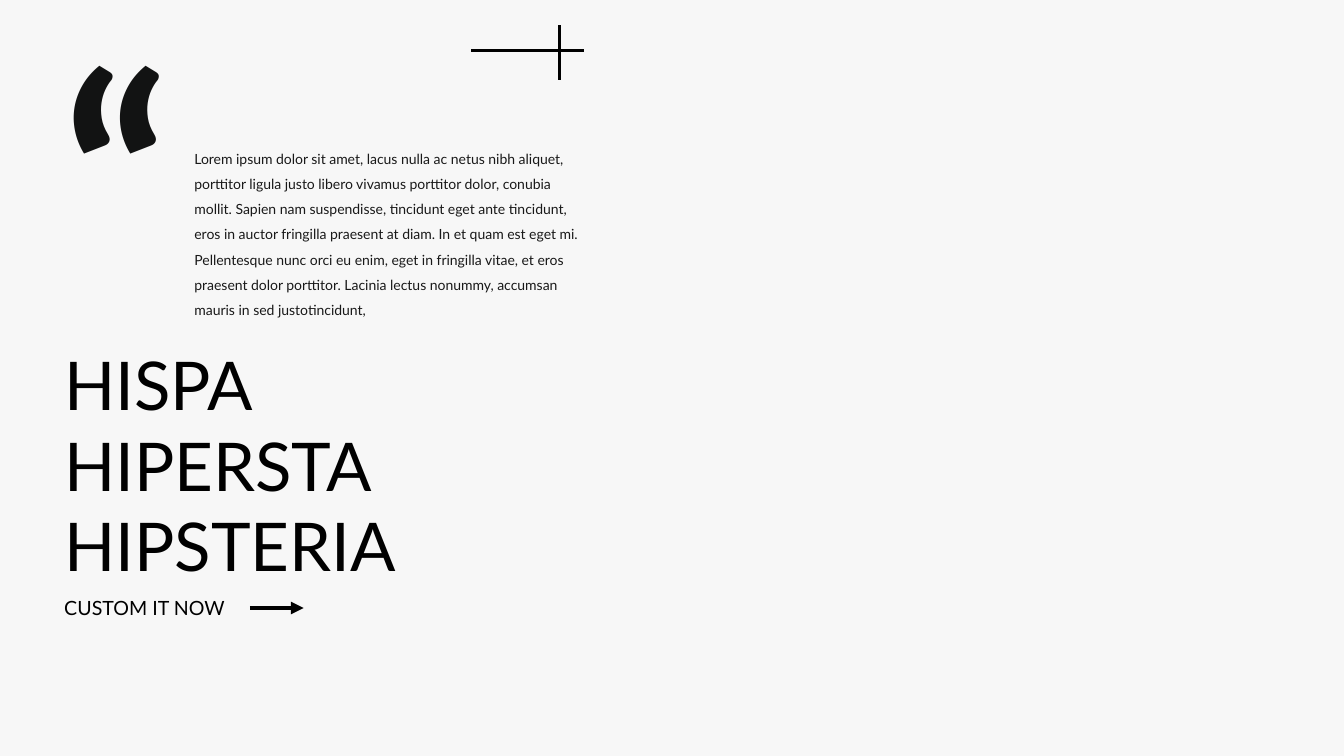
import pptx
import pptx.util
import pptx.dml.color
import pptx.enum.shapes
import pptx.enum.text
import lxml.etree

Cm = pptx.util.Cm
Pt = pptx.util.Pt
RGBColor = pptx.dml.color.RGBColor

PAPER = RGBColor(0xF7, 0xF7, 0xF7)
BLACK = RGBColor(0x00, 0x00, 0x00)
INK = RGBColor(0x19, 0x19, 0x19)
MARK = RGBColor(0x12, 0x13, 0x13)
FONT = "Lato"

deck = pptx.Presentation()
deck.slide_width = Cm(33.87)
deck.slide_height = Cm(19.05)
slide = deck.slides.add_slide(deck.slide_layouts[6])
slide.background.fill.solid()
slide.background.fill.fore_color.rgb = PAPER


def add_text(lines, left, top, width, height, size, color, wrap=True):
    box = slide.shapes.add_textbox(Cm(left), Cm(top), Cm(width), Cm(height))
    frame = box.text_frame
    frame.word_wrap = wrap
    frame.text = "\n".join(lines)
    for para in frame.paragraphs:
        para.font.name = FONT
        para.font.size = Pt(size)
        para.font.color.rgb = color
    return frame


def add_line(shapes, x1, y1, x2, y2, weight):
    line = shapes.add_connector(pptx.enum.shapes.MSO_CONNECTOR.STRAIGHT,
                                Cm(x1), Cm(y1), Cm(x2), Cm(y2))
    line.line.color.rgb = BLACK
    line.line.width = Pt(weight)
    props = line._element.spPr
    lxml.etree.SubElement(props, pptx.oxml.ns.qn("a:effectLst"))
    return line


# Quotation text
quote = add_text(
    ["Lorem ipsum dolor sit amet, lacus nulla ac netus nibh aliquet, "
     "porttitor ligula justo libero vivamus porttitor dolor, conubia mollit. "
     "Sapien nam suspendisse, tincidunt eget ante tincidunt, eros in auctor "
     "fringilla praesent at diam. In et quam est eget mi. Pellentesque nunc "
     "orci eu enim, eget in fringilla vitae, et eros praesent dolor "
     "porttitor. Lacinia lectus nonummy, accumsan mauris in sed "
     "justotincidunt,"],
    4.65, 3.45, 10.34, 4.75, 10, INK)
quote.paragraphs[0].line_spacing = 1.5

# Large quotation mark
mark = add_text(["“"], 1.32, 0, 3.33, 3.86, 199, MARK)
mark.paragraphs[0].font.bold = True
mark.paragraphs[0].space_before = Pt(10)

# Title
add_text(["HISPA", "HIPERSTA", "HIPSTERIA"],
         1.37, 8.53, 9.3, 6.4, 48, BLACK, wrap=False)

# Crossed lines
cross = slide.shapes.add_group_shape()
add_line(cross.shapes, 11.88, 1.27, 14.71, 1.27, 2)
add_line(cross.shapes, 14.1, 0.63, 14.1, 2.01, 2)

# Call to action with arrow
arrow = add_line(slide.shapes, 6.3, 15.32, 7.65, 15.32, 3)
tail = lxml.etree.SubElement(arrow.line._get_or_add_ln(),
                             pptx.oxml.ns.qn("a:tailEnd"))
tail.set("type", "triangle")
add_text(["CUSTOM IT NOW"], 1.37, 14.88, 4.7, 0.86, 14, BLACK, wrap=False)

deck.save("out.pptx")
